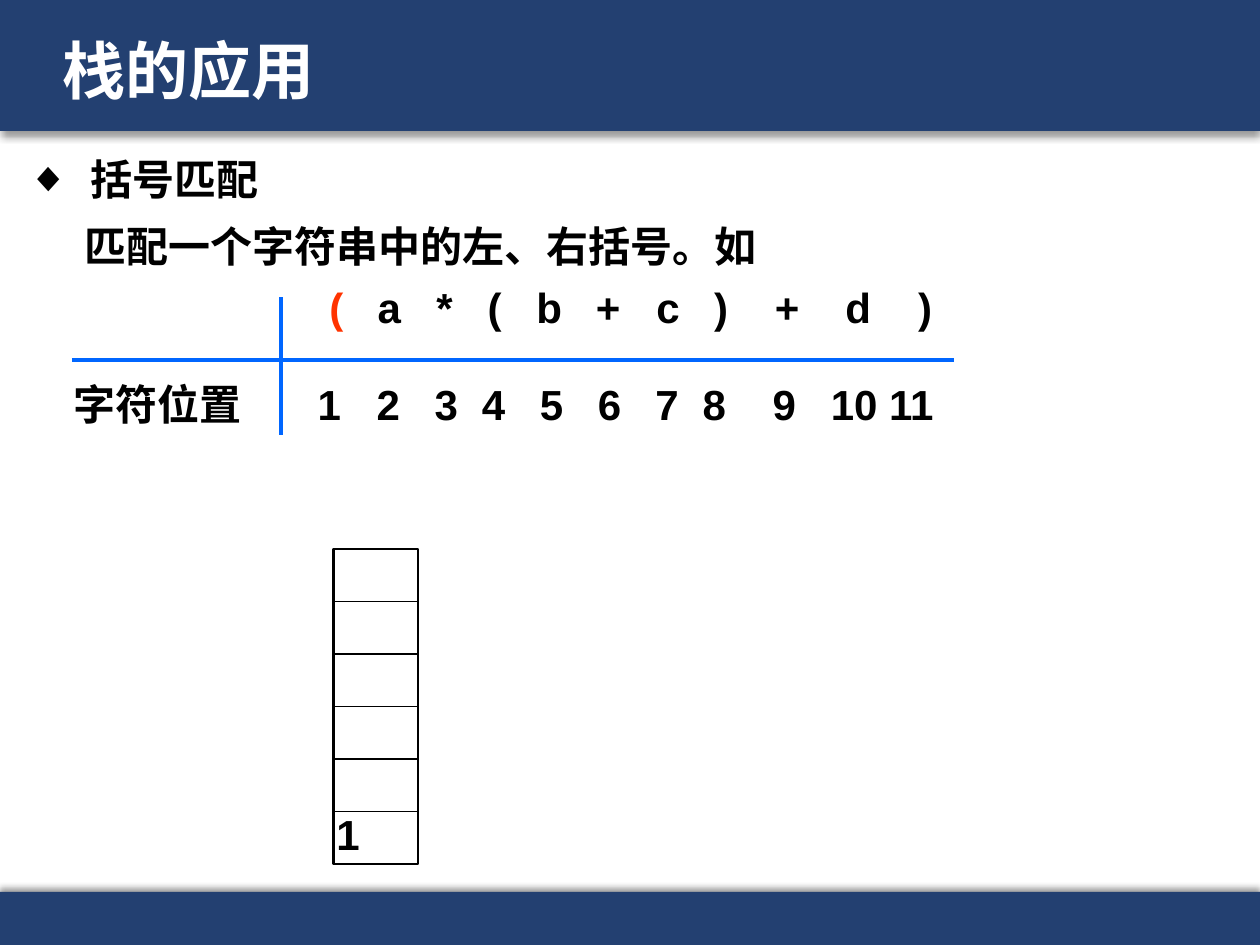
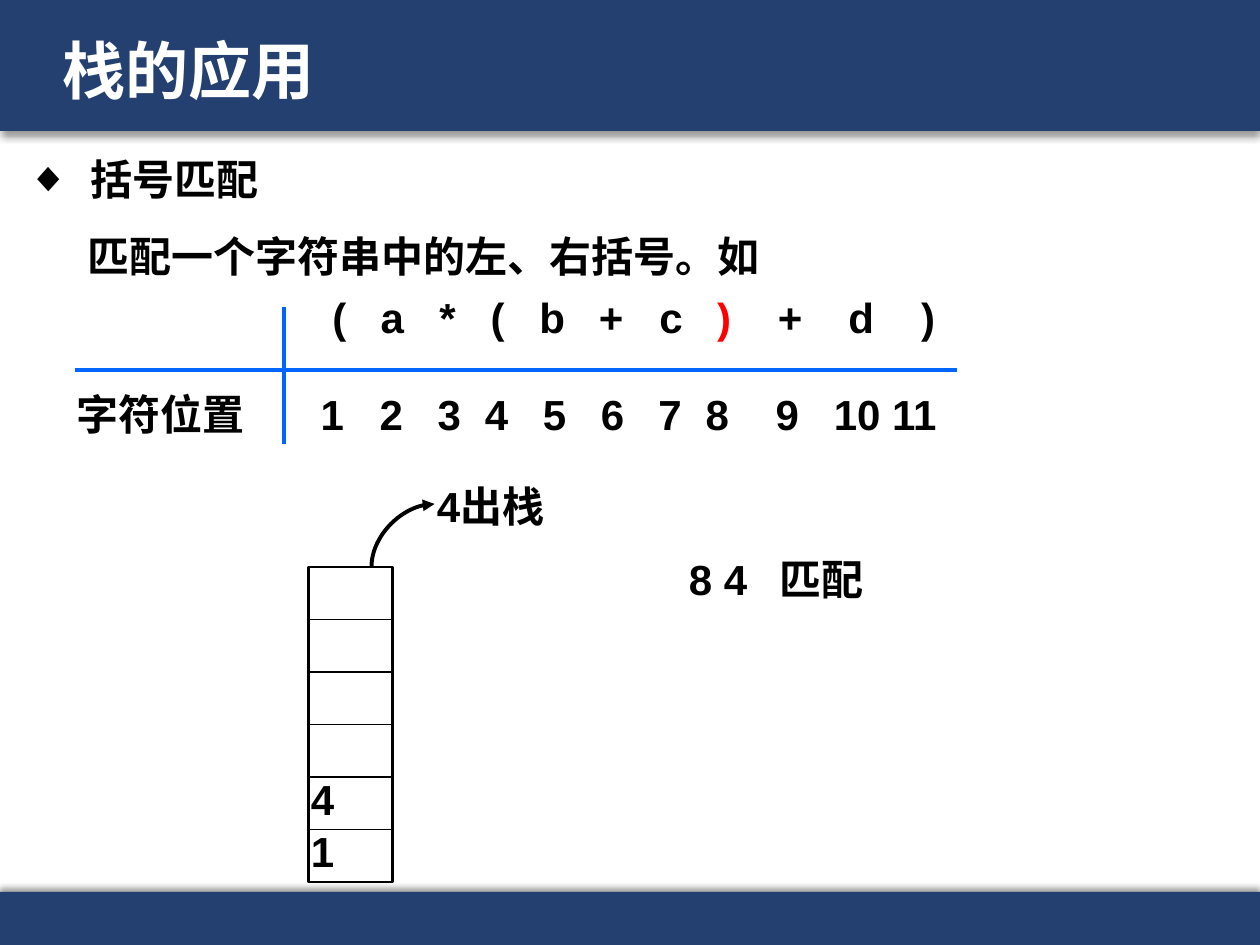
"""Builds two slides on bracket matching with a stack."""
from lxml import etree
from pptx import Presentation, util as u
from pptx.dml.color import RGBColor
from pptx.enum import shapes, text
from pptx.oxml.ns import qn

COLORS = {"band": "234071", "white": "FFFFFF", "ink": "000000", "axis": "0066FF",
          "push": "FF3300", "pop": "FF0000"}
LATIN, CJK = "Arial", "Noto Sans CJK SC"
W, H = 25.4, 19.05
LINE_H = 1.07
SYMBOLS = "(a*(b+c)+d)"
SYMBOL_TABS = [5.08, 6.15, 7.26, 8.27, 9.37, 10.56, 11.77, 12.84, 14.17, 15.6, 16.95]
POSITION_TABS = [5.16, 6.35, 7.52, 8.47, 9.64, 10.81, 11.97, 12.92, 14.33, 15.74, 16.89]
CELLS, CELL_W, CELL_H = 6, 1.7, 6.35 / 6


def rgb(name):
    return RGBColor.from_string(COLORS[name])


def cm(*values):
    return [u.Cm(v) for v in values]


def child(parent, tag, **attrs):
    return etree.SubElement(parent, qn(tag), {k: str(v) for k, v in attrs.items()})


def add_run(p, content, size=24, color="ink"):
    r = p.add_run()
    r.text = content
    r.font.size, r.font.bold, r.font.name = u.Pt(size), True, LATIN
    r.font.color.rgb = rgb(color)
    child(r.font._element, "a:ea", typeface=CJK)


def format_paragraph(p, spacing=0.8, before=0, tabs=(), align="ctr", bullet=None):
    pPr = p._p.get_or_add_pPr()
    if bullet:
        pPr.set("marL", str(u.Cm(1.27)))
        pPr.set("indent", str(-u.Cm(1.27)))
        child(pPr, "a:buFont", typeface=LATIN)
        child(pPr, "a:buChar", char=bullet)
    if tabs:
        stops = child(pPr, "a:tabLst")
        for tab in tabs:
            child(stops, "a:tab", pos=u.Cm(tab), algn=align)
    p.line_spacing = spacing
    p.space_before = u.Pt(before)


def add_text(s, at, content, size=24, color="ink", **paragraph):
    tf = s.shapes.add_textbox(*cm(*at)).text_frame
    tf.word_wrap = True
    p = tf.paragraphs[0]
    format_paragraph(p, **paragraph)
    add_run(p, content, size, color)
    return tf


def add_line(s, x1, y1, x2, y2, color="ink", width=0.75):
    sp = s.shapes.add_connector(shapes.MSO_CONNECTOR.STRAIGHT, *cm(x1, y1, x2, y2))
    sp.line.color.rgb = rgb(color)
    sp.line.width = u.Pt(width)
    child(sp._element.spPr, "a:effectLst")


def add_rect(s, at, fill):
    sp = s.shapes.add_shape(shapes.MSO_SHAPE.RECTANGLE, *cm(*at))
    sp.shadow.inherit = False
    sp.fill.solid()
    sp.fill.fore_color.rgb = rgb(fill)
    return sp


def add_band(s, layout, top, height, angle):
    sp = add_rect(s, (0, top, W, height), "band")
    sp.line.fill.background()
    effects = sp._element.spPr.find(qn("a:effectLst"))
    shadow = child(effects, "a:outerShdw", blurRad=u.Pt(4), dist=u.Pt(3),
                   dir=angle * 60000, algn="ctr", rotWithShape=0)
    child(child(shadow, "a:srgbClr", val=COLORS["ink"]), "a:alpha", val=40000)
    layout.shapes.element.insert(2, sp._element)


def add_heading(s, title, topic):
    sp = s.shapes.title
    sp.left, sp.top, sp.width, sp.height = cm(1, 0.41, 21.89, 2.18)
    tf = sp.text_frame
    tf.vertical_anchor = text.MSO_ANCHOR.MIDDLE
    p = tf.paragraphs[0]
    p.alignment = text.PP_ALIGN.LEFT
    p.line_spacing = 0.9
    add_run(p, title, 36, "white")
    add_text(s, (0.3, 2.72, 24.08, 1.37), topic, spacing=1.25, bullet="◆")


def add_expression(s, left, top, current, highlight):
    tf = add_text(s, (left, top, 21.79, 2.41), "匹配一个字符串中的左、右括号。如")
    p = tf.add_paragraph()
    format_paragraph(p, before=12, tabs=SYMBOL_TABS)
    for position, symbol in enumerate(SYMBOLS, 1):
        add_run(p, "\t" + symbol, color=highlight if position == current else "ink")
    positions = [str(i) for i in range(1, len(SYMBOLS) + 1)]
    add_text(s, (left - 0.22, top + 3.18, 19.25, LINE_H),
             "\t".join(["字符位置"] + positions), tabs=POSITION_TABS)
    add_line(s, left, top + 2.74, left + 17.78, top + 2.74, "axis", 2.25)
    add_line(s, left + 4.22, top + 1.47, left + 4.22, top + 4.24, "axis", 2.25)


def add_stack(s, left, top, values):
    sp = add_rect(s, (left, top, CELL_W, CELLS * CELL_H), "white")
    sp.line.color.rgb = rgb("ink")
    sp.line.width = u.Pt(1.5)
    for i in range(1, CELLS):
        add_line(s, left, top + i * CELL_H, left + CELL_W, top + i * CELL_H)
    for depth, value in enumerate(values, 1):
        add_text(s, (left - 0.2, top + (CELLS - depth) * CELL_H, 2.11, LINE_H), value)


def add_pop_arrow(s, left, bottom, size, steps=24):
    ts = [i / steps for i in range(steps + 1)]
    bend = [(1.5 * t * t * (1 - t) + t ** 3, 1.5 * t * (1 - t) ** 2 + 3 * t * t * (1 - t) + t ** 3)
            for t in ts]
    points = [cm(left + x * size, bottom - y * size) for x, y in bend]
    fb = s.shapes.build_freeform(*points[0])
    fb.add_line_segments(points[1:], close=False)
    sp = fb.convert_to_shape()
    sp.shadow.inherit = False
    sp.fill.background()
    sp.line.color.rgb = rgb("ink")
    sp.line.width = u.Pt(2.25)
    child(sp.line._get_or_add_ln(), "a:tailEnd", type="triangle")


def main():
    prs = Presentation()
    prs.slide_width, prs.slide_height = cm(W, H)
    layout = prs.slide_layouts[5]
    push, pop = [prs.slides.add_slide(layout) for _ in range(2)]
    add_band(push, layout, 0, 2.64, 90)
    add_band(push, layout, 17.98, 1.07, 270)
    for s in (push, pop):
        add_heading(s, "栈的应用", "括号匹配")

    add_expression(push, 1.45, 4.52, 1, "push")
    add_stack(push, 6.73, 11.07, ["1"])

    add_expression(pop, 1.51, 4.72, 8, "pop")
    add_stack(pop, 6.22, 11.43, ["1", "4"])
    add_pop_arrow(pop, 7.49, 11.43, 1.27)
    add_text(pop, (8.56, 9.75, 3.61, LINE_H), "4出栈")
    add_text(pop, (13.64, 11.23, 7.19, LINE_H), "8 4\t匹配", tabs=[1.83], align="l")
    prs.save("out.pptx")


if __name__ == "__main__":
    main()
